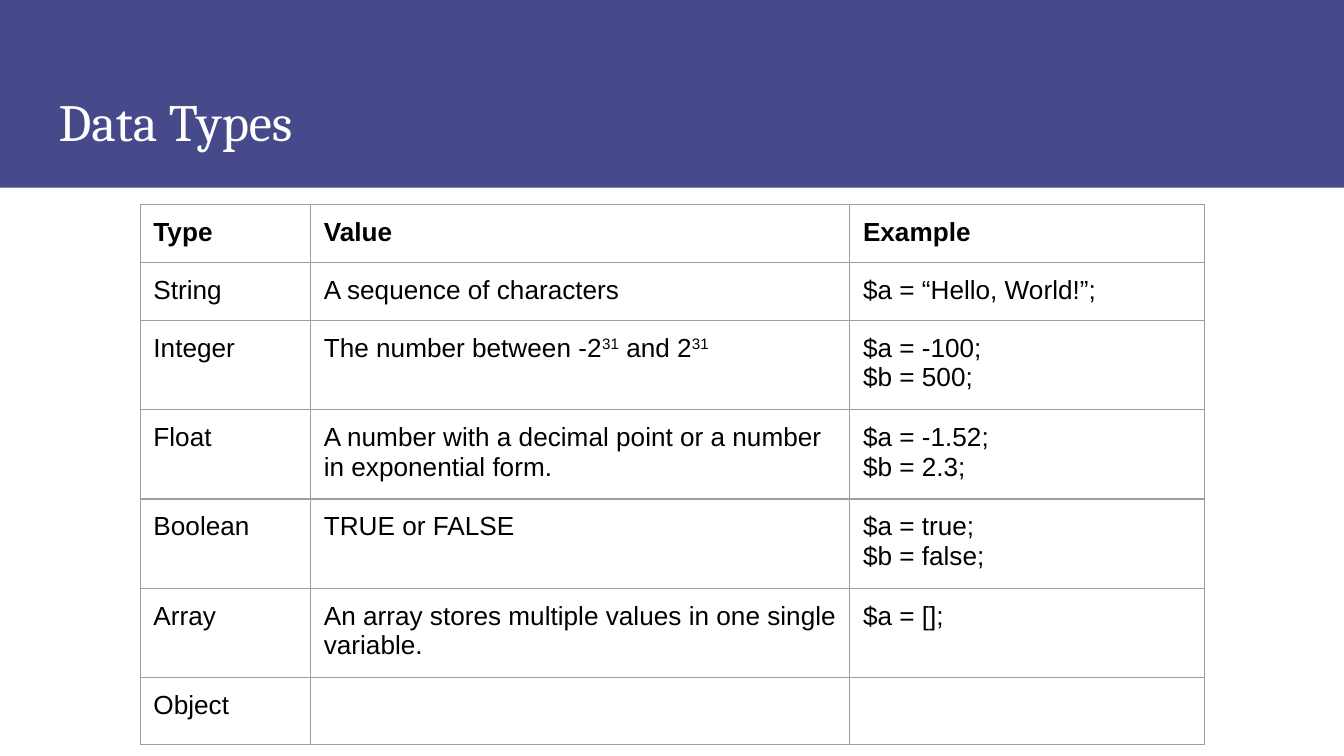
from lxml import etree
from pptx import Presentation
from pptx.dml.color import RGBColor
from pptx.enum.shapes import MSO_SHAPE
from pptx.enum.text import MSO_ANCHOR
from pptx.oxml.ns import qn
from pptx.util import Cm, Pt

RECTANGLE = MSO_SHAPE.RECTANGLE
BOTTOM = MSO_ANCHOR.BOTTOM

COLORS = {"band": "474A8A", "title": "FFFFFF", "text": "000000", "border": "9E9E9E"}
TITLE = "Data Types"
# Text between two carets is superscript.
ROWS = [
    ("Type", "Value", "Example"),
    ("String", "A sequence of characters", "$a = “Hello, World!”;"),
    ("Integer", "The number between -2^31^ and 2^31^", "$a = -100;\n$b = 500;"),
    ("Float", "A number with a decimal point or a number in exponential form.",
     "$a = -1.52;\n$b = 2.3;"),
    ("Boolean", "TRUE or FALSE", "$a = true;\n$b = false;"),
    ("Array", "An array stores multiple values in one single variable.", "$a = [];"),
    ("Object", "", ""),
]
COLUMN_WIDTHS = [3.22, 10.19, 6.7]
ONE_LINE, TWO_LINES, LAST_ROW = 1.06, 1.62, 1.22
ROW_HEIGHTS = [ONE_LINE] * 2 + [TWO_LINES] * 4 + [LAST_ROW]
INSET = Cm(0.25)


def color(name):
    return RGBColor.from_string(COLORS[name])


def set_insets(target):
    target.margin_left = target.margin_right = INSET
    target.margin_top = target.margin_bottom = INSET


def style_run(run, font_name, size, color_name, bold=False):
    run.font.name = font_name
    run.font.size = Pt(size)
    run.font.bold = bold
    run.font.color.rgb = color(color_name)


def add_borders(cell):
    properties = cell._tc.get_or_add_tcPr()
    for index, side in enumerate(("lnL", "lnR", "lnT", "lnB")):
        line = etree.Element(qn(f"a:{side}"), w=str(Pt(0.75)))
        fill = etree.SubElement(line, qn("a:solidFill"))
        etree.SubElement(fill, qn("a:srgbClr"), val=COLORS["border"])
        properties.insert(index, line)


def fill_cell(cell, text, bold):
    set_insets(cell)
    cell.fill.background()
    add_borders(cell)
    cell.text_frame.text = text.replace("^", "") if "\n" in text else ""
    if "\n" not in text:
        for index, part in enumerate(text.split("^")):
            if part:
                run = cell.text_frame.paragraphs[0].add_run()
                run.text = part
                if index % 2:
                    run._r.get_or_add_rPr().set("baseline", "30000")
    for paragraph in cell.text_frame.paragraphs:
        for run in paragraph.runs:
            style_run(run, "Arial", 14, "text", bold)


def add_header(slide, width):
    band = slide.shapes.add_shape(RECTANGLE, 0, 0, width, Cm(3.55))
    band.shadow.inherit = False
    band.fill.solid()
    band.fill.fore_color.rgb = color("band")
    band.line.fill.background()

    title = slide.shapes.add_textbox(Cm(0.86), Cm(1.4), Cm(20.78), Cm(1.73))
    frame = title.text_frame
    frame.word_wrap = True
    frame.vertical_anchor = BOTTOM
    set_insets(frame)
    frame.text = TITLE
    style_run(frame.paragraphs[0].runs[0], "Cambria", 28, "title")


def add_type_table(slide):
    table = slide.shapes.add_table(
        len(ROWS), len(COLUMN_WIDTHS), Cm(2.65), Cm(3.87),
        Cm(sum(COLUMN_WIDTHS)), Cm(sum(ROW_HEIGHTS))).table
    table.horz_banding = False
    for column, width in zip(table.columns, COLUMN_WIDTHS):
        column.width = Cm(width)
    for index, (row, texts) in enumerate(zip(table.rows, ROWS)):
        row.height = Cm(ROW_HEIGHTS[index])
        for cell, text in zip(row.cells, texts):
            fill_cell(cell, text, bold=index == 0)


def main():
    presentation = Presentation()
    presentation.slide_width = Cm(25.4)
    presentation.slide_height = Cm(14.29)
    slide = presentation.slides.add_slide(presentation.slide_layouts[6])
    add_header(slide, presentation.slide_width)
    add_type_table(slide)
    presentation.save("out.pptx")


if __name__ == "__main__":
    main()
